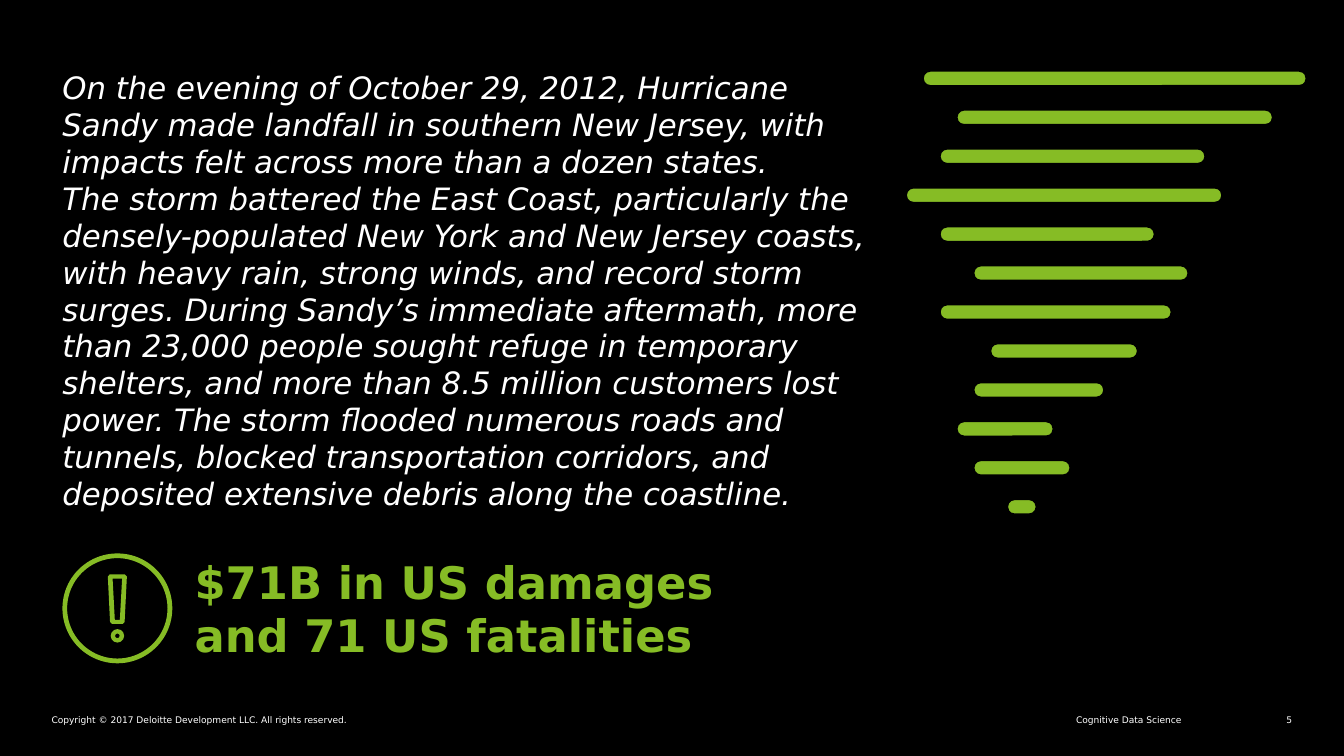
from lxml import etree
from pptx import Presentation
from pptx.dml.color import RGBColor
from pptx.enum import shapes, text
from pptx.util import Pt

COLORS = {"background": "000000", "text": "FFFFFF", "accent": "86BC25"}
FONT = "DejaVu Sans"

STORY = (
    "On the evening of October 29, 2012, Hurricane Sandy made landfall in southern New Jersey, "
    "with impacts felt across more than a dozen states.\n"
    "The storm battered the East Coast, particularly the densely-populated New York and New Jersey "
    "coasts, with heavy rain, strong winds, and record storm surges. During Sandy’s immediate "
    "aftermath, more than 23,000 people sought refuge in temporary shelters, and more than 8.5 "
    "million customers lost power. The storm flooded numerous roads and tunnels, blocked "
    "transportation corridors, and deposited extensive debris along the coastline."
)
TOLL = "$71B in US damages and 71 US fatalities"

# Offset and length of each funnel bar, in grid columns
FUNNEL_BARS = [(1, 23), (3, 19), (2, 16), (0, 19), (2, 13), (4, 13),
               (2, 14), (5, 9), (4, 8), (3, 6), (4, 6), (6, 2)]
FUNNEL_COLUMNS = 24


def color(name):
    return RGBColor.from_string(COLORS[name])


def add_text(slide, box, words, size, ink="text", align="LEFT", leading=None, **font_format):
    """Place one paragraph in a box without insets; leading is in points."""
    frame = slide.shapes.add_textbox(*map(Pt, box)).text_frame
    frame.word_wrap = True
    for side in ("left", "top", "right", "bottom"):
        setattr(frame, f"margin_{side}", 0)
    paragraph = frame.paragraphs[0]
    paragraph.text = words
    paragraph.alignment = getattr(text.PP_ALIGN, align)
    if leading:
        paragraph.line_spacing = Pt(leading)
    for run in paragraph.runs:
        for name, value in {"name": FONT, "size": Pt(size), **font_format}.items():
            setattr(run.font, name, value)
        run.font.color.rgb = color(ink)


def paint(shape, outline=0):
    """Fill with the accent; an outline in the background colour trims the edge."""
    shape.shadow.inherit = False
    shape.fill.solid()
    shape.fill.fore_color.rgb = color("accent")
    if outline:
        shape.line.color.rgb = color("background")
        shape.line.width = Pt(outline)
    else:
        shape.line.fill.background()


def add_ring(slide, center_x, center_y, diameter, thickness):
    corner = [Pt(center - diameter / 2) for center in (center_x, center_y)]
    ring = slide.shapes.add_shape(shapes.MSO_SHAPE.DONUT, *corner, Pt(diameter), Pt(diameter))
    ring.adjustments[0] = thickness / diameter
    paint(ring)


def add_alert(slide, left, top, size):
    """Exclamation mark within a ring."""
    middle = left + size / 2
    add_ring(slide, middle, top + size / 2, size, 3.4)
    add_ring(slide, middle, top + 0.75 * size, 9.6, 3.2)

    # Right half of each stroke contour, as distance from the axis and from the top
    outer = [(5.4, 15), (6.8, 16.5), (5.2, 49), (3.8, 50.4)]
    inner = [(3.4, 18), (1.8, 47.5)]
    builder = slide.shapes.build_freeform()
    for half in (outer, inner):
        mirrored = [(-x, y) for x, y in reversed(half)]
        points = [(Pt(middle + x), Pt(top + y)) for x, y in half + mirrored]
        builder.move_to(*points[0])
        builder.add_line_segments(points[1:], close=True)
    paint(builder.convert_to_shape())


def add_funnel(slide, left, top, width, height):
    bar_height = 14
    column = width / FUNNEL_COLUMNS
    pitch = (height - bar_height) / (len(FUNNEL_BARS) - 1)
    for row, (offset, length) in enumerate(FUNNEL_BARS):
        bar = slide.shapes.add_shape(
            shapes.MSO_SHAPE.ROUNDED_RECTANGLE,
            Pt(left + offset * column), Pt(top + row * pitch),
            Pt(length * column), Pt(bar_height))
        bar.adjustments[0] = 0.47
        paint(bar, outline=4.5)


def add_toll(slide, left, top, width, height):
    add_alert(slide, left, top, height)
    indent = 94.4
    add_text(slide, (left + indent, top + 1.5, width - indent, height), TOLL, 32,
             ink="accent", leading=37.9, bold=True)


def add_footer(slide, left, top, width, height):
    right = left + width
    parts = [(left, 422, "Copyright © 2017 Deloitte Development LLC. All rights reserved.", "LEFT"),
             (right - 464, 385, "Cognitive Data Science", "RIGHT"),
             (right - 24, 24, "5", "RIGHT")]
    for x, part_width, words, align in parts:
        add_text(slide, (x, top, part_width, height), words, 6.5, align=align)


def main():
    deck = Presentation()
    deck.slide_width, deck.slide_height = Pt(960), Pt(540)
    slide = deck.slides.add_slide(deck.slide_layouts[6])
    slide.background.fill.solid()
    slide.background.fill.fore_color.rgb = color("background")

    add_text(slide, (44.6, 49, 584.6, 319.7), STORY, 22, leading=26.4, italic=True)
    add_funnel(slide, 645.6, 49, 289.2, 320)
    add_toll(slide, 44.6, 395.3, 494.7, 78.5)
    add_footer(slide, 36.8, 510, 886.2, 8)
    deck.save("out.pptx")


if __name__ == "__main__":
    main()
